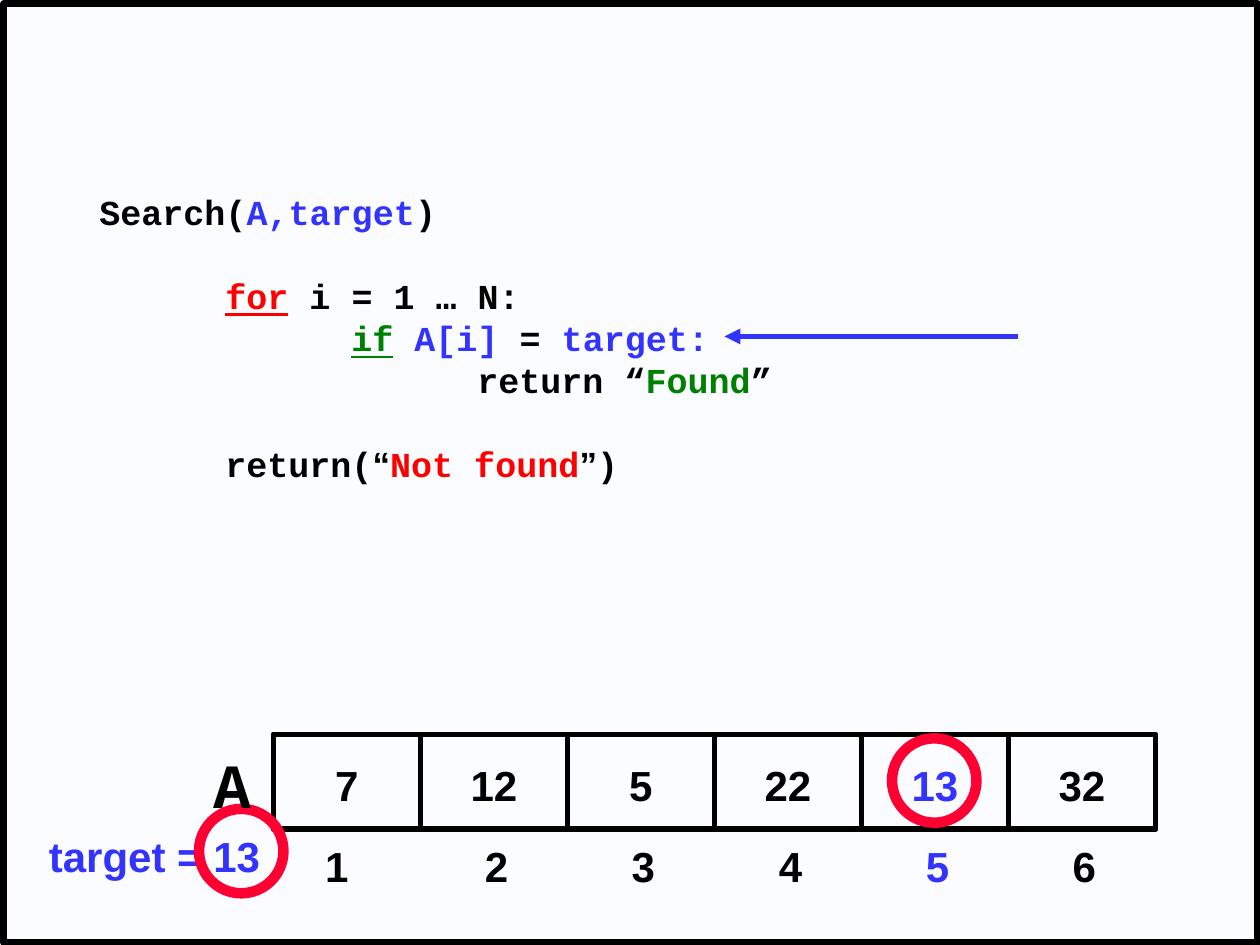
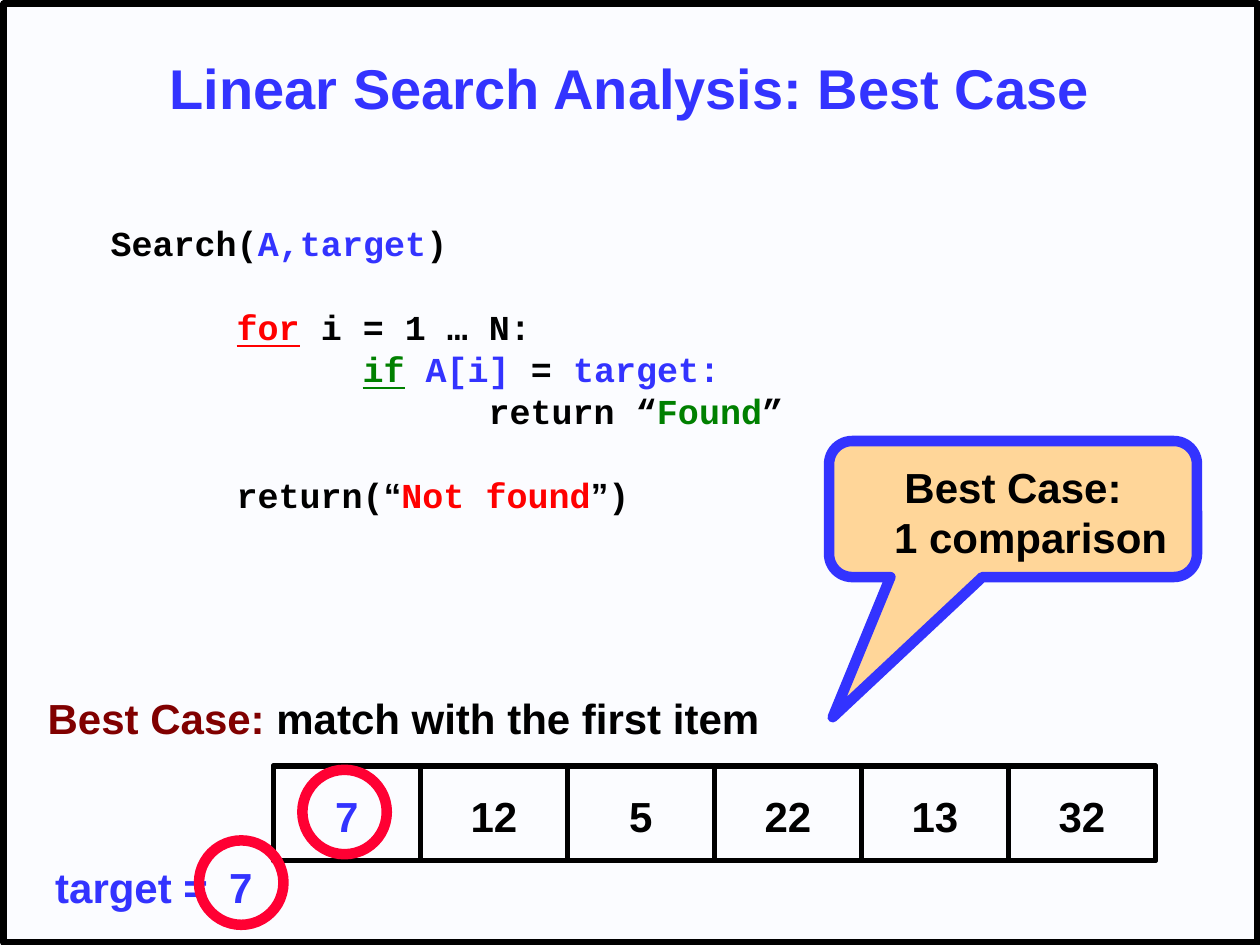
"""Build two slides on linear search: a matching step and the best case."""
from lxml import etree
from pptx import Presentation, util as u
from pptx.dml.color import RGBColor
from pptx.enum import shapes, text
from pptx.oxml.ns import qn

BLACK, BLUE, RED, GREEN = "000000", "3333FF", "FF0000", "008000"
MAROON, RING, PEACH, PAPER = "800000", "FF0033", "FFD699", "FBFCFF"
BODY, MONO = "Arial", "Courier New"
LEFT, CENTER = text.PP_ALIGN.LEFT, text.PP_ALIGN.CENTER
TOP, MIDDLE = text.MSO_ANCHOR.TOP, text.MSO_ANCHOR.MIDDLE
SHAPE = shapes.MSO_SHAPE


def write(shape, lines, size=24, font=BODY, align=CENTER, anchor=TOP, pitch=None):
    """Fill a shape with lines of (indent, space before, runs); return its frame."""
    frame = shape.text_frame
    frame.word_wrap = True
    frame.auto_size = text.MSO_AUTO_SIZE.NONE
    frame.vertical_anchor = anchor
    frame.margin_top, frame.margin_bottom = u.Inches(0.09), u.Inches(0.05)
    for number, (indent, before, runs) in enumerate(lines):
        para = frame.paragraphs[0] if number == 0 else frame.add_paragraph()
        para.alignment = align
        para.space_before = u.Pt(before)
        if pitch:
            para.line_spacing = u.Pt(pitch)
        if indent:
            para._p.get_or_add_pPr().set("marL", str(u.Inches(indent)))
        for words, color, *style in runs:
            run = para.add_run()
            run.text = words
            run.font.name = BODY if "body" in style else font
            run.font.size, run.font.bold = u.Pt(size), True
            run.font.underline = "underline" in style
            run.font.color.rgb = RGBColor.from_string(color)
    return frame


def outline(slide, kind, box, color, weight, fill=None):
    """Add an outlined preset shape at box, filled only when fill is given."""
    shape = slide.shapes.add_shape(kind, *map(u.Inches, box))
    shape.shadow.inherit = False
    shape.line.color.rgb = RGBColor.from_string(color)
    shape.line.width = u.Pt(weight)
    if fill:
        shape.fill.solid()
        shape.fill.fore_color.rgb = RGBColor.from_string(fill)
    else:
        shape.fill.background()
    return shape


SEARCH_CODE = [
    (0, 0, [("Search(", BLACK), ("A,target", BLUE), (")", BLACK)]),
    (1, 24, [("for", RED, "underline"), (" i = 1 … N:", BLACK)]),
    (2, 0, [("if", GREEN, "underline"), (" A[i]", BLUE), (" = ", BLACK), ("target:", BLUE)]),
    (3, 0, [("return “", BLACK), ("Found", GREEN), ("”", BLACK)]),
    (1, 24, [("return(", BLACK), ("“", BLACK, "body"), ("Not found", RED),
             ("”", BLACK, "body"), (")", BLACK)]),
]
VALUES = [7, 12, 5, 22, 13, 32]
ARRAY_LEFT, CELL_WIDTH, CELL_HEIGHT = 2.17, 7 / 6, 0.75

prs = Presentation()
prs.slide_width, prs.slide_height = u.Inches(10), u.Inches(7.5)
paper = prs.slide_master.background.fill
paper.solid()
paper.fore_color.rgb = RGBColor.from_string(PAPER)

step = prs.slides.add_slide(prs.slide_layouts[6])
best = prs.slides.add_slide(prs.slide_layouts[5])

for slide, match, array_top, code_at, target_left, target, ring_left in (
    (step, 4, 5.83, (0.69, 1.42), 0.29, "target = 13", 7.08),
    (best, 0, 6.08, (0.78, 1.67), 0.34, "target =\t7", 2.4),
):
    outline(slide, SHAPE.RECTANGLE, (0.03, 0.03, 9.95, 7.45), BLACK, 3.75)
    code = slide.shapes.add_textbox(*map(u.Inches, (*code_at, 5.8, 2.77)))
    write(code, SEARCH_CODE, size=20, font=MONO, align=LEFT, pitch=24)

    outline(slide, SHAPE.RECTANGLE, (ARRAY_LEFT, array_top, 7, CELL_HEIGHT), BLACK, 3)
    for index, value in enumerate(VALUES):
        cell_left = ARRAY_LEFT + index * CELL_WIDTH
        cell = outline(slide, SHAPE.RECTANGLE,
                       (cell_left, array_top, CELL_WIDTH, CELL_HEIGHT), BLACK, 3)
        color = BLUE if index == match else BLACK
        write(cell, [(0, 0, [(str(value), color)])], anchor=MIDDLE)

    sought = slide.shapes.add_textbox(
        *map(u.Inches, (target_left, array_top + 0.67, 2, 0.5)))
    sought_frame = write(sought, [(0, 0, [(target, BLUE)])], align=LEFT)
    stops = etree.SubElement(sought_frame.paragraphs[0]._p.get_or_add_pPr(), qn("a:tabLst"))
    etree.SubElement(stops, qn("a:tab"), pos=str(u.Inches(1.38)), algn="l")

    for left, top in ((1.58, array_top + 0.59), (ring_left, array_top + 0.03)):
        outline(slide, SHAPE.OVAL, (left, top, 0.67, 0.67), RING, 6)

for index in range(len(VALUES)):
    label_left = ARRAY_LEFT + index * CELL_WIDTH + (0.02 if index else -0.08)
    label = step.shapes.add_textbox(*map(u.Inches, (label_left, 6.58, CELL_WIDTH, 0.5)))
    write(label, [(0, 0, [(str(index + 1), BLUE if index == 4 else BLACK)])])

array_name = step.shapes.add_textbox(*map(u.Inches, (1.6, 5.83, 0.6, 0.7)))
write(array_name, [(0, 0, [("A", BLACK)])], size=36, font=MONO, align=LEFT)

pointer = step.shapes.add_connector(
    shapes.MSO_CONNECTOR.STRAIGHT, *map(u.Inches, (8.08, 2.67, 5.75, 2.67)))
pointer.line.color.rgb = RGBColor.from_string(BLUE)
pointer.line.width = u.Pt(3)
etree.SubElement(pointer.line._get_or_add_ln(), qn("a:tailEnd"), type="triangle")
etree.SubElement(pointer._element.spPr, qn("a:effectLst"))

title = best.shapes.title
title.left, title.top, title.width, title.height = map(u.Inches, (0.75, 0.17, 8.5, 1))
write(title, [(0, 0, [("Linear Search Analysis: Best Case", BLUE)])], size=32, anchor=MIDDLE)

summary = best.shapes.add_textbox(*map(u.Inches, (0.28, 5.41, 6.1, 0.5)))
write(summary, [(0, 0, [("Best Case: ", MAROON), ("match with the first item", BLACK)])],
      align=LEFT)

callout = outline(best, SHAPE.ROUNDED_RECTANGULAR_CALLOUT, (6.58, 3.5, 2.92, 1.08),
                  BLUE, 6, PEACH)
for position, amount in enumerate((-0.49, 1.53, 0.17)):
    callout.adjustments[position] = amount
write(callout, [(0, 0, [("Best Case:", BLACK)]), (0.28, 0, [("1 comparison", BLACK)])],
      anchor=MIDDLE, pitch=29)

prs.save("out.pptx")
